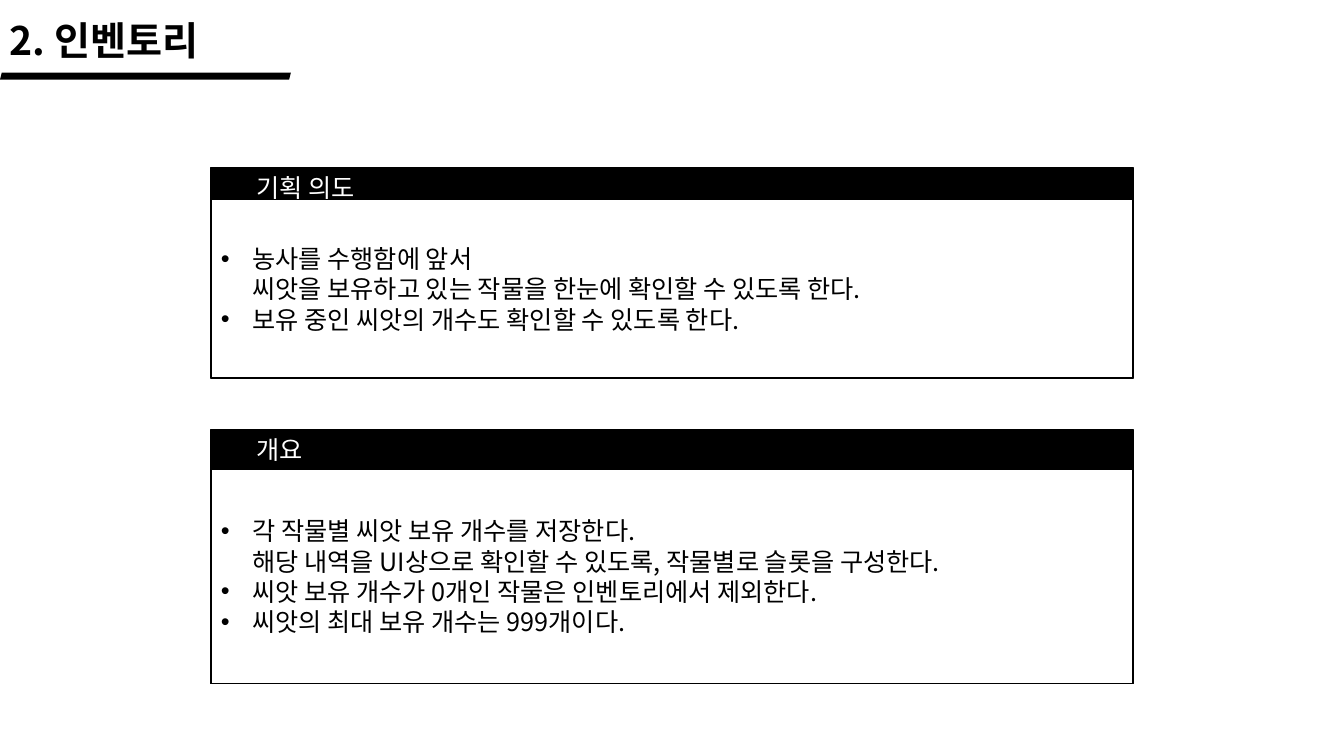
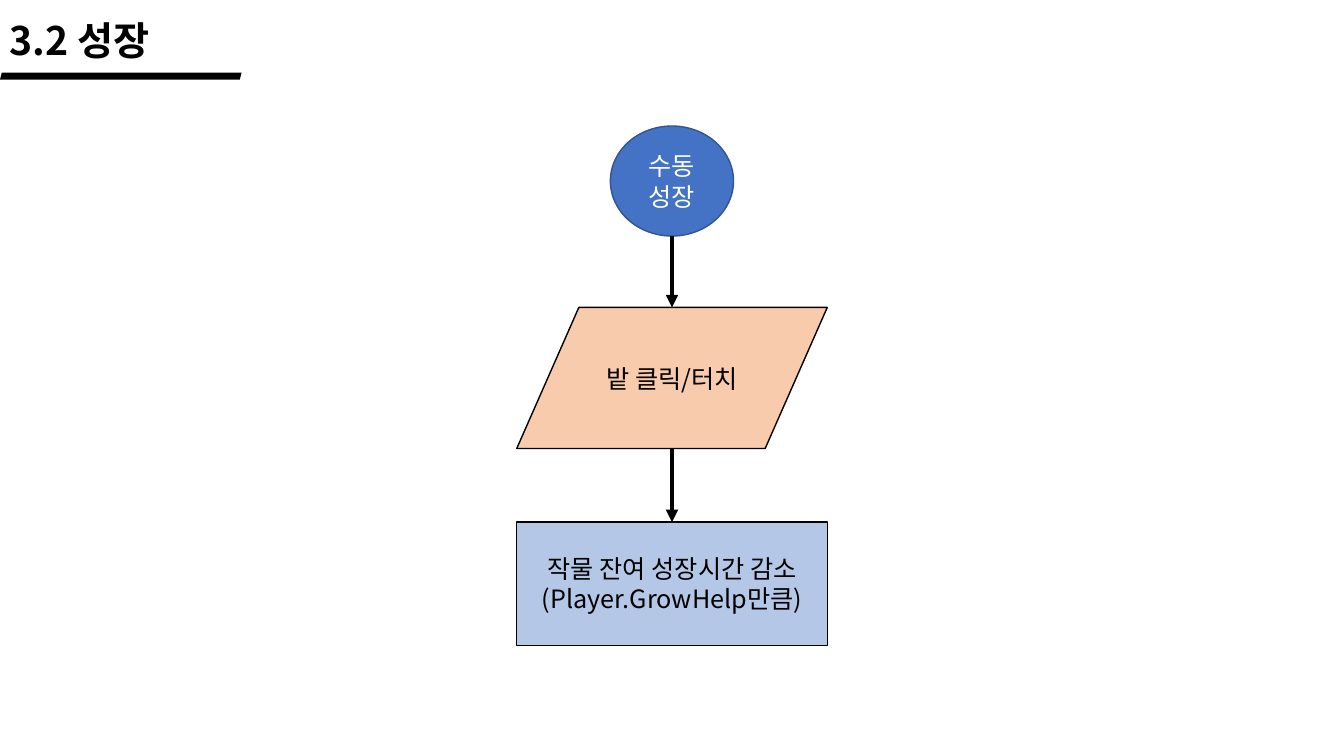
from dataclasses import dataclass

from lxml.etree import SubElement
from pptx import Presentation
from pptx.dml.color import RGBColor
from pptx.enum.shapes import MSO_CONNECTOR, MSO_SHAPE
from pptx.enum.text import MSO_ANCHOR, PP_ALIGN
from pptx.oxml.ns import qn
from pptx.util import Pt


@dataclass(frozen=True)
class Theme:
    font: str = "Noto Sans CJK KR"
    title_size: float = 28
    body_size: float = 18
    line_pitch: float = 1.2
    black: str = "000000"
    white: str = "FFFFFF"
    start_fill: str = "4472C4"
    start_line: str = "325491"
    input_fill: str = "F8CBAD"
    process_fill: str = "B4C7E7"
    outline: float = 1
    arrow: float = 3


THEME = Theme()
SLIDE_WIDTH, SLIDE_HEIGHT = 960, 540
PANEL_WIDTH = 658.8
PANEL_LEFT = (SLIDE_WIDTH - PANEL_WIDTH) / 2
LABEL_INDENT = 25.2
BULLET_INDENT = 22.5
RULE_SHARE = 0.94  # title rule width as a share of the title box

INVENTORY = {
    "title": ("2. 인벤토리", 221),
    "panels": [
        {
            "label": "기획 의도", "top": 119.5, "header": 23, "body": 127.5,
            "bullets": [
                "농사를 수행함에 앞서\n씨앗을 보유하고 있는 작물을 한눈에 확인할 수 있도록 한다.",
                "보유 중인 씨앗의 개수도 확인할 수 있도록 한다.",
            ],
        },
        {
            "label": "개요", "top": 306.7, "header": 28.2, "body": 153.2,
            "bullets": [
                "각 작물별 씨앗 보유 개수를 저장한다.\n"
                "해당 내역을 UI상으로 확인할 수 있도록, 작물별로 슬롯을 구성한다.",
                "씨앗 보유 개수가 0개인 작물은 인벤토리에서 제외한다.",
                "씨앗의 최대 보유 개수는 999개이다.",
            ],
        },
    ],
}

# Each step: preset, top, width, height, fill, line, text colour, paragraphs
GROWTH = {
    "title": ("3.2 성장", 183.6),
    "steps": [
        (MSO_SHAPE.FLOWCHART_CONNECTOR, 90, 88, 78.6,
         THEME.start_fill, THEME.start_line, THEME.white, ["수동성장"]),
        (MSO_SHAPE.FLOWCHART_DATA, 219.6, 221.8, 100.8,
         THEME.input_fill, THEME.black, THEME.black, ["밭 클릭/터치"]),
        (MSO_SHAPE.RECTANGLE, 373, 221.8, 88,
         THEME.process_fill, THEME.black, THEME.black,
         ["작물 잔여 성장시간 감소", "(Player.GrowHelp만큼)"]),
    ],
}


def rgb(colour):
    return RGBColor.from_string(colour)


def add_bullet(para):
    properties = para._p.get_or_add_pPr()
    properties.set("marL", str(Pt(BULLET_INDENT)))
    properties.set("indent", str(-Pt(BULLET_INDENT)))
    SubElement(properties, qn("a:buFont")).set("typeface", "Arial")
    SubElement(properties, qn("a:buChar")).set("char", "•")


def write(shape, paragraphs, colour, size=THEME.body_size, bold=False,
          align=PP_ALIGN.LEFT, anchor=MSO_ANCHOR.MIDDLE, bullets=False):
    frame = shape.text_frame
    frame.word_wrap = True
    frame.vertical_anchor = anchor
    for index, text in enumerate(paragraphs):
        para = frame.add_paragraph() if index else frame.paragraphs[0]
        if bullets:
            add_bullet(para)
        para.alignment = align
        para.line_spacing = Pt(size * THEME.line_pitch)
        for number, line in enumerate(text.split("\n")):
            if number:
                para.add_line_break()
            span = para.add_run()
            span.text = line
            span.font.size = Pt(size)
            span.font.bold = bold
            span.font.name = THEME.font
            span.font.color.rgb = rgb(colour)
            SubElement(span.font._element, qn("a:ea")).set("typeface", THEME.font)


def add_box(page, preset, left, top, width, height, fill, line=None):
    box = page.shapes.add_shape(preset, Pt(left), Pt(top), Pt(width), Pt(height))
    box.shadow.inherit = False
    box.fill.solid()
    box.fill.fore_color.rgb = rgb(fill)
    if line:
        box.line.color.rgb = rgb(line)
        box.line.width = Pt(THEME.outline)
    else:
        box.line.fill.background()
    return box


def add_label(page, left, top, width, height, text, colour, **style):
    label = page.shapes.add_textbox(Pt(left), Pt(top), Pt(width), Pt(height))
    write(label, [text], colour, anchor=MSO_ANCHOR.TOP, **style)


def add_arrow(page, x, top, bottom):
    arrow = page.shapes.add_connector(
        MSO_CONNECTOR.STRAIGHT, Pt(x), Pt(top), Pt(x), Pt(bottom))
    arrow.line.color.rgb = rgb(THEME.black)
    arrow.line.width = Pt(THEME.arrow)
    SubElement(arrow.line._get_or_add_ln(), qn("a:tailEnd")).set("type", "triangle")
    SubElement(arrow._element.spPr, qn("a:effectLst"))


def add_page(deck, title, width):
    """Add a blank slide with the shared title and slanted rule."""
    page = deck.slides.add_slide(deck.slide_layouts[6])
    add_label(page, 0, 8, width, 41, title, THEME.black,
              size=THEME.title_size, bold=True)
    add_box(page, MSO_SHAPE.PARALLELOGRAM, 0, 52, width * RULE_SHARE, 5, THEME.black)
    return page


def add_panel(page, label, top, header, body, bullets):
    add_box(page, MSO_SHAPE.RECTANGLE, PANEL_LEFT, top, PANEL_WIDTH,
            header + body, THEME.black, THEME.black)
    content = add_box(page, MSO_SHAPE.RECTANGLE, PANEL_LEFT, top + header,
                      PANEL_WIDTH, body, THEME.white, THEME.black)
    write(content, bullets, THEME.black, bullets=True)
    add_label(page, PANEL_LEFT + LABEL_INDENT, top, PANEL_WIDTH - 2 * LABEL_INDENT,
              29, label, THEME.white)


def add_flow(page, steps):
    """Stack the steps on the centre line and join each to the next."""
    centre = SLIDE_WIDTH / 2
    for preset, top, width, height, fill, line, colour, paragraphs in steps:
        box = add_box(page, preset, centre - width / 2, top, width, height, fill, line)
        write(box, paragraphs, colour, align=PP_ALIGN.CENTER)
    for upper, lower in zip(steps, steps[1:]):
        add_arrow(page, centre, upper[1] + upper[3], lower[1])


def main():
    deck = Presentation()
    deck.slide_width, deck.slide_height = Pt(SLIDE_WIDTH), Pt(SLIDE_HEIGHT)
    inventory = add_page(deck, *INVENTORY["title"])
    for panel in INVENTORY["panels"]:
        add_panel(inventory, **panel)
    add_flow(add_page(deck, *GROWTH["title"]), GROWTH["steps"])
    deck.save("out.pptx")


if __name__ == "__main__":
    main()
